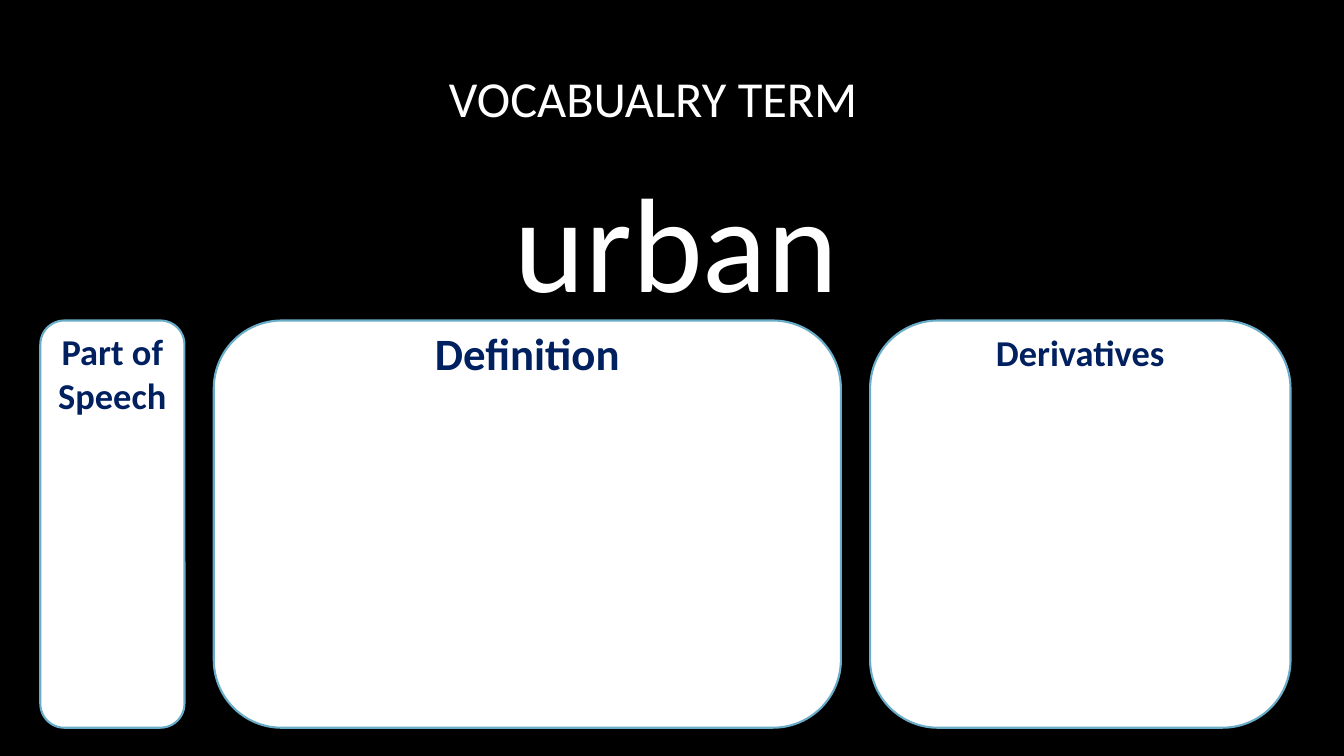
from pptx import Presentation
from pptx.dml.color import RGBColor
from pptx.enum.shapes import MSO_SHAPE
from pptx.enum.text import MSO_ANCHOR as Anchor, PP_ALIGN as Align
from pptx.util import Inches, Pt

BLACK = RGBColor(0x00, 0x00, 0x00)
WHITE = RGBColor(0xFF, 0xFF, 0xFF)
NAVY = RGBColor(0x00, 0x20, 0x60)
SKY = RGBColor(0x6A, 0xAD, 0xC8)

# Content: text, top, height, size, right margin, top margin
HEADINGS = [
    ("VOCABUALRY TERM", 0.46, 0.96, 36, 0.56, 0.06),
    ("urban", 1.42, 1.76, 96, 0.1, 0.14),
]
# Content: label, width, size, line spacing, top margin
CARDS = [
    ("Part of Speech", 1.43, 26, 1.0, 0.02),
    ("Definition", 6.22, 32, 0.7, 0),
    ("Derivatives", 4.17, 26, 0.75, 0),
]
HEADING_LEFT, HEADING_WIDTH = 1.17, 11.08
CARD_LEFT, CARD_TOP, CARD_HEIGHT, CARD_GAP = 0.4, 3.18, 4.04, 0.29


def write(shape, text, anchor, margins, font_format, line_spacing=1.0):
    frame = shape.text_frame
    frame.word_wrap = True
    frame.vertical_anchor = anchor
    for side, margin in margins.items():
        setattr(frame, f"margin_{side}", Inches(margin))
    paragraph = frame.paragraphs[0]
    paragraph.alignment = Align.CENTER
    paragraph.line_spacing = line_spacing
    run = paragraph.add_run()
    run.text = text
    color = font_format.pop("color")
    for name, value in font_format.items():
        setattr(run.font, name, value)
    run.font.color.rgb = color


presentation = Presentation()
presentation.slide_width = Inches(13.33)
presentation.slide_height = Inches(7.5)
slide = presentation.slides.add_slide(presentation.slide_layouts[6])
slide.background.fill.solid()
slide.background.fill.fore_color.rgb = BLACK

# Heading and vocabulary word
for text, top, height, size, right, inset in HEADINGS:
    box = slide.shapes.add_textbox(
        Inches(HEADING_LEFT), Inches(top), Inches(HEADING_WIDTH), Inches(height))
    write(box, text, Anchor.MIDDLE,
          {"left": 0.1, "right": right, "top": inset, "bottom": 0},
          {"name": "Calibri", "size": Pt(size), "color": WHITE})

# Row of cards to fill in
left = CARD_LEFT
for label, width, size, spacing, inset in CARDS:
    card = slide.shapes.add_shape(
        MSO_SHAPE.ROUNDED_RECTANGLE,
        Inches(left), Inches(CARD_TOP), Inches(width), Inches(CARD_HEIGHT))
    card.shadow.inherit = False
    card.fill.solid()
    card.fill.fore_color.rgb = WHITE
    card.line.color.rgb = SKY
    card.line.width = Pt(1.5)
    write(card, label, Anchor.TOP,
          {"left": 0.05, "right": 0.05, "top": inset, "bottom": 0},
          {"name": "Calibri", "size": Pt(size), "bold": True, "color": NAVY},
          spacing)
    left += width + CARD_GAP

presentation.save("out.pptx")
